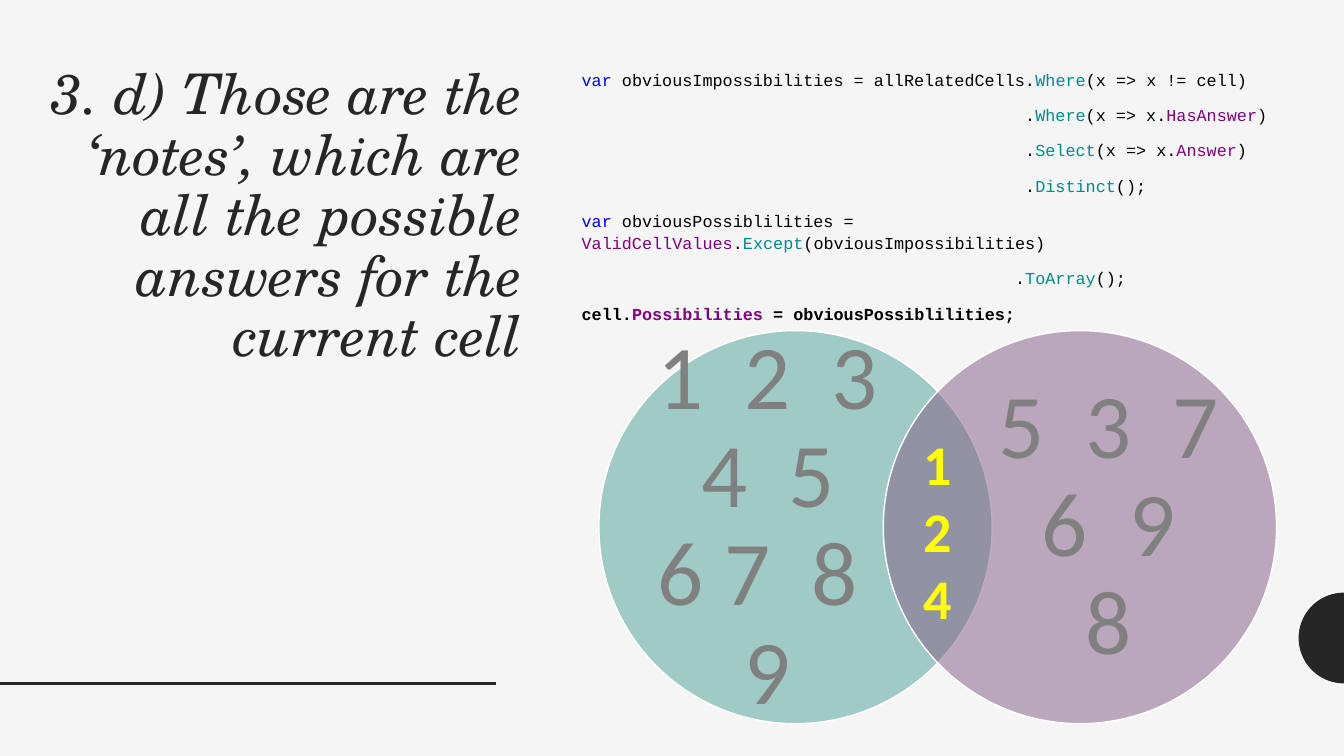
from dataclasses import dataclass
from math import cos, pi, sin

from lxml.etree import SubElement
from pptx import Presentation
from pptx.dml.color import RGBColor
from pptx.enum.shapes import MSO_CONNECTOR as Connector, MSO_SHAPE as Preset
from pptx.enum.text import MSO_ANCHOR as Anchor, PP_ALIGN as Align
from pptx.oxml.ns import qn
from pptx.text.text import Font, TextFrame
from pptx.util import Inches, Pt

COLORS = {
    "background": "F5F5F5", "ink": "262626", "outline": "FFFFFF",
    "digit": "808080", "shared": "FFFF00", "teal": "4CA198", "plum": "835B82",
    "plain": "000000", "keyword": "0000FF", "method": "008B8B", "property": "800080",
}
WIDTH, HEIGHT = Inches(13.33), Inches(7.5)
CHARACTER = Inches(0.1)  # advance of 12 pt Courier New


@dataclass(frozen=True)
class Box:
    """Position and size in percent of the slide."""
    left: float
    top: float
    width: float
    height: float

    def lengths(self) -> tuple[int, int, int, int]:
        return (round(self.left * WIDTH / 100), round(self.top * HEIGHT / 100),
                round(self.width * WIDTH / 100), round(self.height * HEIGHT / 100))


@dataclass(frozen=True)
class VennSet:
    color: str
    circle: Box
    digits: str
    label: Box


@dataclass(frozen=True)
class CodeLine:
    tokens: tuple[tuple[str, str], ...]  # (text, color name)
    indent: int = 0  # in characters
    bold: bool = False


TITLE = "3. d) Those are the ‘notes’, which are all the possible answers for the current cell"
TITLE_BOX = Box(2.33, 8.13, 37.28, 72.27)
CODE_BOX = Box(42.54, 8.27, 54.54, 34.93)
SHARED_BOX = Box(65.87, 54.93, 7.73, 30.4)
VENN_SETS = [
    VennSet("teal", Box(44.56, 43.73, 29.26, 52), "1  2  3  4  5  6 7  8  9",
            Box(48.69, 49.87, 16.88, 39.73)),
    VennSet("plum", Box(65.72, 43.73, 29.26, 52), "5  3  7  6  9  8",
            Box(74.04, 49.87, 16.88, 39.73)),
]
CODE = [
    CodeLine((("var ", "keyword"), ("obviousImpossibilities = allRelatedCells.", "plain"),
              ("Where", "method"), ("(x => x != cell)", "plain"))),
    CodeLine(((".", "plain"), ("Where", "method"), ("(x => x.", "plain"),
              ("HasAnswer", "property"), (")", "plain")), indent=44),
    CodeLine(((".", "plain"), ("Select", "method"), ("(x => x.", "plain"),
              ("Answer", "property"), (")", "plain")), indent=44),
    CodeLine(((".", "plain"), ("Distinct", "method"), ("();", "plain")), indent=44),
    CodeLine((("var ", "keyword"), ("obviousPossiblilities = ", "plain"),
              ("ValidCellValues", "property"), (".", "plain"), ("Except", "method"),
              ("(obviousImpossibilities)", "plain"))),
    CodeLine(((".", "plain"), ("ToArray", "method"), ("();", "plain")), indent=43),
    CodeLine((("cell.", "plain"), ("Possibilities", "property"),
              (" = obviousPossiblilities;", "plain")), bold=True),
]


def rgb(name: str) -> RGBColor:
    return RGBColor.from_string(COLORS[name])


def set_font(font: Font, name: str, size: float, color: str | None = None) -> None:
    font.name, font.size = name, Pt(size)
    if color:
        font.color.rgb = rgb(color)


def add_frame(box: Box, anchor: Anchor = Anchor.TOP, inset: bool = True) -> TextFrame:
    frame = slide.shapes.add_textbox(*box.lengths()).text_frame
    frame.word_wrap = True
    frame.vertical_anchor = anchor
    if not inset:
        frame.margin_left = frame.margin_right = frame.margin_top = frame.margin_bottom = 0
    return frame


def add_half_disc(center_x: int, center_y: int, radius: int, steps: int = 48) -> None:
    angles = [pi / 2 + pi * step / steps for step in range(steps + 1)]
    points = [(round(center_x + radius * cos(angle)), round(center_y + radius * sin(angle)))
              for angle in angles]
    builder = slide.shapes.build_freeform(*points[0])
    builder.add_line_segments(points[1:], close=True)
    shape = builder.convert_to_shape()
    shape.shadow.inherit = False
    shape.fill.solid()
    shape.fill.fore_color.rgb = rgb("ink")
    shape.line.fill.background()


def add_rule(y: int, end_x: int) -> None:
    rule = slide.shapes.add_connector(Connector.STRAIGHT, 0, y, end_x, y)
    rule.line.color.rgb = rgb("ink")
    rule.line.width = Pt(2)
    SubElement(rule._element.spPr, qn("a:effectLst"))


def add_venn_set(venn_set: VennSet) -> None:
    circle = slide.shapes.add_shape(Preset.OVAL, *venn_set.circle.lengths())
    circle.shadow.inherit = False
    circle.fill.solid()
    circle.fill.fore_color.rgb = rgb(venn_set.color)
    fill_color = circle._element.spPr.find(qn("a:solidFill")).find(qn("a:srgbClr"))
    SubElement(fill_color, qn("a:alpha"), val="50000")
    circle.line.color.rgb = rgb("outline")
    circle.line.width = Pt(1)

    paragraph = add_frame(venn_set.label, Anchor.MIDDLE, inset=False).paragraphs[0]
    paragraph.text = venn_set.digits
    paragraph.alignment = Align.CENTER
    paragraph.line_spacing = 0.9
    set_font(paragraph.font, "Calibri", 65, "digit")


def add_code(lines: list[CodeLine]) -> None:
    frame = add_frame(CODE_BOX)
    for index, line in enumerate(lines):
        paragraph = frame.add_paragraph() if index else frame.paragraphs[0]
        paragraph.line_spacing = 1.12
        paragraph.space_before = Pt(9)
        set_font(paragraph.font, "Courier New", 12)
        paragraph.font.bold = line.bold
        paragraph._p.get_or_add_pPr().set("marL", str(line.indent * CHARACTER))
        for text, color in line.tokens:
            run = paragraph.add_run()
            run.text = text
            run.font.color.rgb = rgb(color)


presentation = Presentation()
presentation.slide_width, presentation.slide_height = WIDTH, HEIGHT
slide = presentation.slides.add_slide(presentation.slide_layouts[6])
slide.background.fill.solid()
slide.background.fill.fore_color.rgb = rgb("background")

# Edge decoration
add_half_disc(WIDTH, Inches(6.33), Inches(0.45))
add_rule(Inches(6.78), Inches(4.92))

# Title
title = add_frame(TITLE_BOX).paragraphs[0]
title.text = TITLE
title.alignment = Align.RIGHT
title.line_spacing = 0.9
set_font(title.font, "TeX Gyre Schola", 40, "ink")
title.font.italic = True

# Venn diagram with the shared digits
for venn_set in VENN_SETS:
    add_venn_set(venn_set)
shared_frame = add_frame(SHARED_BOX, Anchor.MIDDLE)
shared_frame.text = "1\n2\n4"
for paragraph in shared_frame.paragraphs:
    paragraph.alignment = Align.CENTER
    set_font(paragraph.font, "Calibri", 40, "shared")
    paragraph.font.bold = True

# Code listing
add_code(CODE)

presentation.save("out.pptx")
